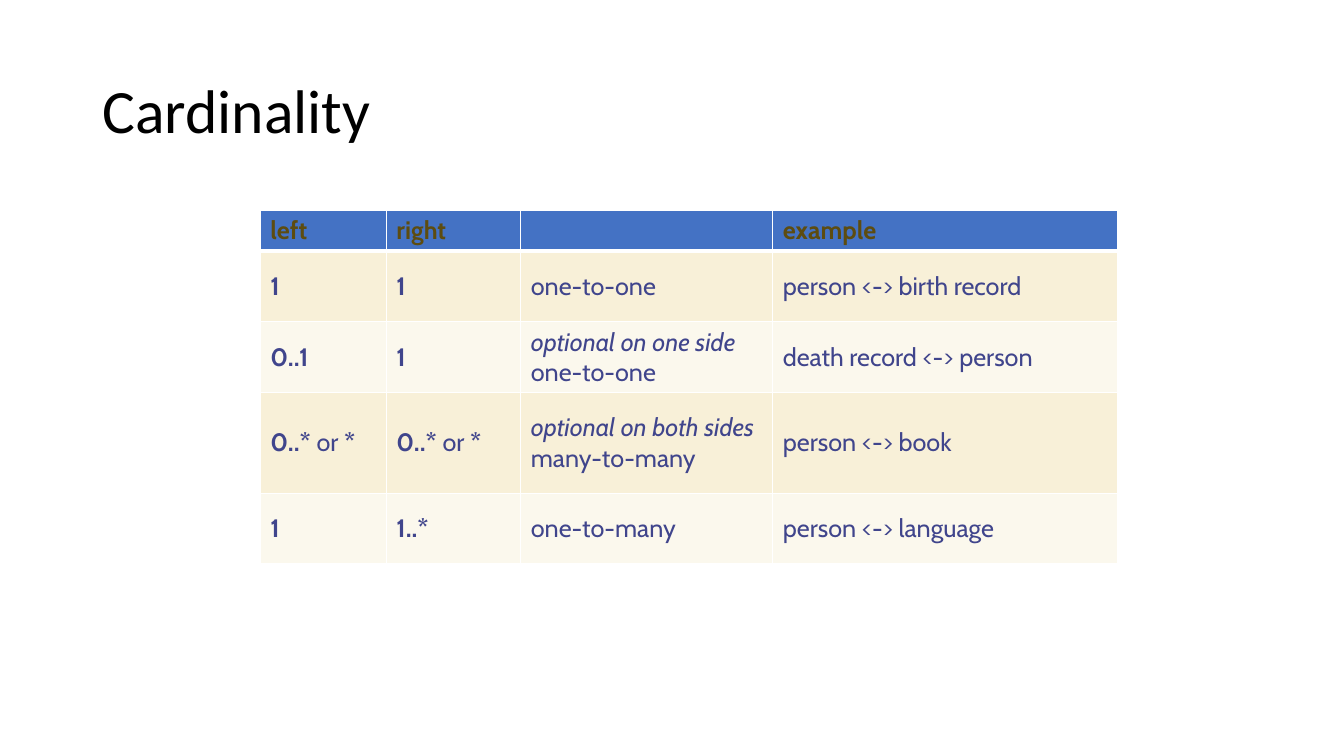
from dataclasses import dataclass

from lxml import etree
from pptx import Presentation
from pptx.dml.color import RGBColor
from pptx.enum.text import MSO_ANCHOR
from pptx.oxml.ns import qn
from pptx.util import Inches, Pt

MIDDLE = MSO_ANCHOR.MIDDLE
BLANK_LAYOUT = 6
UNITS_PER_INCH = 12  # the slide is a grid of 160 columns by 90 rows
SLIDE_COLUMNS, SLIDE_ROWS = 160, 90

COLORS = {
    "title": "000000",
    "header_text": "5D4C10",
    "body_text": "40458C",
    "header_fill": "4472C4",
    "odd_fill": "F8F0D8",
    "even_fill": "FBF8ED",
    "border": "FFFFFF",
}
TITLE_FORMAT = {"name": "Calibri", "size": Pt(44)}
CELL_FORMAT = {"name": "Cabin", "size": Pt(18)}
THIN_BORDER, HEADER_BORDER = 1, 3


@dataclass(frozen=True)
class Area:
    left: float
    top: float
    width: float
    height: float


@dataclass(frozen=True)
class Span:
    text: str
    bold: bool = False
    italic: bool = False


@dataclass(frozen=True)
class CardinalityRow:
    height: float
    cells: tuple[tuple[Span, ...], ...]


def strong(text: str) -> Span:
    return Span(text, bold=True)


def slanted(text: str) -> Span:
    return Span(text, italic=True)


TITLE_AREA = Area(11, 4.8, 138, 17.4)
TABLE_LEFT, TABLE_TOP = 31, 25
COLUMN_WIDTHS = (15, 16, 30, 41)
ANY_NUMBER = (strong("0..*"), Span(" or "), strong("*"))
TABLE_ROWS = (
    CardinalityRow(4.9, ((strong("left"),), (strong("right"),), (), (strong("example"),))),
    CardinalityRow(8.4, (
        (strong("1"),), (strong("1"),),
        (Span("one-to-one"),), (Span("person <-> birth record"),))),
    CardinalityRow(8.4, (
        (strong("0..1"),), (strong("1"),),
        (slanted("optional on one side"), Span(" one-to-one")),
        (Span("death record <-> person"),))),
    CardinalityRow(12, (
        ANY_NUMBER, ANY_NUMBER,
        (slanted("optional on both sides"), Span(" many-to-many")),
        (Span("person <-> book"),))),
    CardinalityRow(8.4, (
        (strong("1"),), (strong("1..*"),),
        (Span("one-to-many"),), (Span("person <-> language"),))),
)


def grid(units: float) -> int:
    return Inches(units / UNITS_PER_INCH)


def place(area: Area) -> tuple[int, ...]:
    return tuple(grid(units) for units in (area.left, area.top, area.width, area.height))


def format_font(font, values: dict, color: str) -> None:
    for name, value in values.items():
        setattr(font, name, value)
    font.color.rgb = RGBColor.from_string(COLORS[color])


def set_borders(cell, widths: dict[str, int]) -> None:
    """Add cell borders in schema order; call before the fill is set."""
    properties = cell._tc.get_or_add_tcPr()
    for side, width in widths.items():
        line = etree.SubElement(properties, qn(f"a:{side}"), w=str(Pt(width)))
        fill = etree.SubElement(line, qn("a:solidFill"))
        etree.SubElement(fill, qn("a:srgbClr"), val=COLORS["border"])


def fill_cell(cell, spans: tuple[Span, ...], row_index: int) -> None:
    is_header = row_index == 0
    set_borders(cell, {
        "lnL": THIN_BORDER,
        "lnR": THIN_BORDER,
        "lnT": HEADER_BORDER if row_index == 1 else THIN_BORDER,
        "lnB": HEADER_BORDER if is_header else THIN_BORDER,
    })
    fill_name = "header_fill" if is_header else "odd_fill" if row_index % 2 else "even_fill"
    cell.fill.solid()
    cell.fill.fore_color.rgb = RGBColor.from_string(COLORS[fill_name])
    cell.vertical_anchor = MIDDLE
    paragraph = cell.text_frame.paragraphs[0]
    for span in spans:
        run = paragraph.add_run()
        run.text = span.text
        values = CELL_FORMAT | {"bold": span.bold, "italic": span.italic}
        format_font(run.font, values, "header_text" if is_header else "body_text")


def add_title(slide, text: str) -> None:
    frame = slide.shapes.add_textbox(*place(TITLE_AREA)).text_frame
    frame.word_wrap = True
    frame.vertical_anchor = MIDDLE
    paragraph = frame.paragraphs[0]
    paragraph.line_spacing = 0.9
    run = paragraph.add_run()
    run.text = text
    format_font(run.font, TITLE_FORMAT, "title")


def add_cardinality_table(slide) -> None:
    area = Area(TABLE_LEFT, TABLE_TOP, sum(COLUMN_WIDTHS),
                sum(row.height for row in TABLE_ROWS))
    table = slide.shapes.add_table(
        len(TABLE_ROWS), len(COLUMN_WIDTHS), *place(area)).table
    table.horz_banding = False
    for column, width in zip(table.columns, COLUMN_WIDTHS):
        column.width = grid(width)
    for row_index, row in enumerate(TABLE_ROWS):
        table.rows[row_index].height = grid(row.height)
        for column_index, spans in enumerate(row.cells):
            fill_cell(table.cell(row_index, column_index), spans, row_index)


def main() -> None:
    presentation = Presentation()
    presentation.slide_width = grid(SLIDE_COLUMNS)
    presentation.slide_height = grid(SLIDE_ROWS)
    slide = presentation.slides.add_slide(presentation.slide_layouts[BLANK_LAYOUT])
    add_title(slide, "Cardinality")
    add_cardinality_table(slide)
    presentation.save("out.pptx")


if __name__ == "__main__":
    main()
